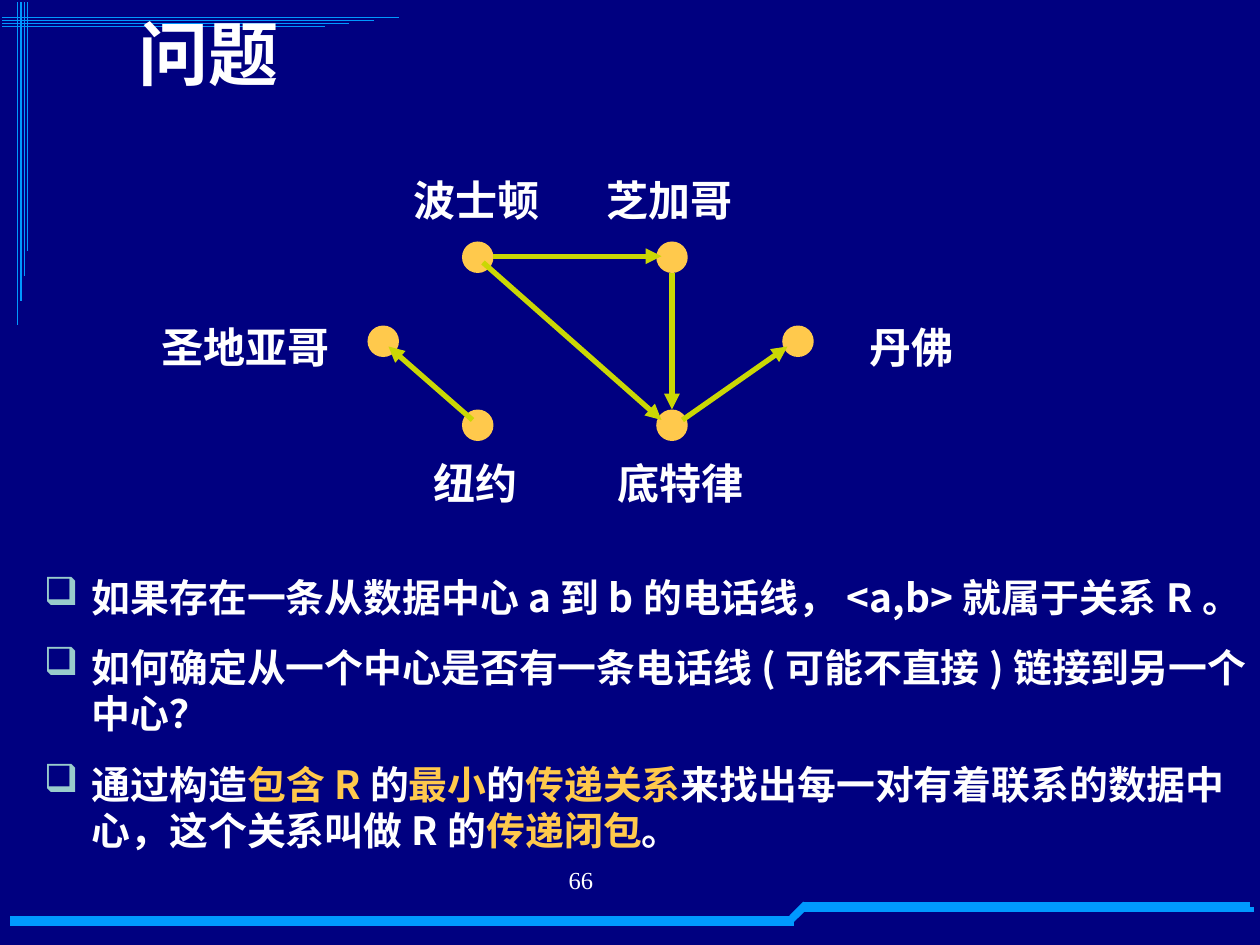
from dataclasses import dataclass

from lxml.etree import SubElement
from pptx import Presentation
from pptx.dml.color import RGBColor as RGB
from pptx.enum.shapes import MSO_CONNECTOR as CONN, MSO_SHAPE as SHAPE
from pptx.enum.text import MSO_ANCHOR as ANCHOR, PP_ALIGN as ALIGN
from pptx.oxml.ns import qn
from pptx.util import Emu, Inches, Pt

COLS, ROWS = 120, 90
NODE = 3


@dataclass(frozen=True)
class Theme:
    background: str = "000080"
    frame: str = "0099FF"
    text: str = "FFFFFF"
    accent: str = "FFC94C"
    arrow: str = "CAD704"
    bullet: str = "99CCCC"
    font: str = "Noto Sans CJK SC"
    number_font: str = "Times New Roman"
    title_size: float = 40
    label_size: float = 24
    body_size: float = 22.2
    number_size: float = 14
    thick: float = 3
    thin: float = 0.75
    spacing: float = 13.5


THEME = Theme()

CITIES = [
    ("波士顿", (44, 23), (38.2, 16)),
    ("芝加哥", (62.5, 23), (56.6, 16)),
    ("丹佛", (74.5, 31), (81.6, 30)),
    ("底特律", (62.5, 39), (57.6, 43)),
    ("圣地亚哥", (35, 31), (14.2, 30)),
    ("纽约", (44, 39), (40.1, 43)),
]

PHONE_LINES = [
    ((47, 24.4), (63, 24.4)),
    ((46, 25), (63, 40)),
    ((64, 26), (64, 39)),
    ((65, 40), (75, 33)),
    ((45, 40), (37, 33)),
]

BODY = [
    [("如果存在一条从数据中心a到b的电话线，<a,b>就属于关系R。", False)],
    [("如何确定从一个中心是否有一条电话线(可能不直接)链接到另一个中心？", False)],
    [
        ("通过构造", False),
        ("包含R", True),
        ("的", False),
        ("最小", True),
        ("的", False),
        ("传递关系", True),
        ("来找出每一对有着联系的数据中心，这个关系叫做R的", False),
        ("传递闭包", True),
        ("。", False),
    ],
]


def cells(prs, *values):
    units = (prs.slide_width / COLS, prs.slide_height / ROWS)
    return [Emu(round(v * units[i % 2])) for i, v in enumerate(values)]


def format_run(r, size, color=THEME.text, font=THEME.font, bold=True):
    r.font.size = Pt(size)
    r.font.bold = bold
    r.font.name = font
    r.font.color.rgb = RGB.from_string(color)
    SubElement(r.font._element, qn("a:ea"), typeface=font)


def add_line(prs, s, start, end, color, width, arrow=False):
    line = s.shapes.add_connector(CONN.STRAIGHT, *cells(prs, *start, *end))
    line.line.color.rgb = RGB.from_string(color)
    line.line.width = Pt(width)
    if arrow:
        SubElement(line.line._get_or_add_ln(), qn("a:tailEnd"), type="triangle")
    SubElement(line._element.spPr, qn("a:effectLst"))


def add_box(prs, s, box, wrap=True):
    tf = s.shapes.add_textbox(*cells(prs, *box)).text_frame
    tf.word_wrap = wrap
    return tf


def add_text(prs, s, box, text, size, wrap=True, **style):
    tf = add_box(prs, s, box, wrap)
    tf.text = text
    format_run(tf.paragraphs[0].runs[0], size, **style)
    return tf


def add_bullet(p):
    pPr = p._p.get_or_add_pPr()
    indent = Inches(0.38)
    pPr.set("marL", str(indent))
    pPr.set("indent", str(-indent))
    color = SubElement(pPr, qn("a:buClr"))
    SubElement(color, qn("a:srgbClr"), val=THEME.bullet)
    SubElement(pPr, qn("a:buChar"), char="❑")


def add_body(prs, s, box):
    tf = add_box(prs, s, box)
    for i, parts in enumerate(BODY):
        p = tf.add_paragraph() if i else tf.paragraphs[0]
        p.space_before = Pt(THEME.spacing)
        add_bullet(p)
        for text, accented in parts:
            r = p.add_run()
            r.text = text
            format_run(r, THEME.body_size, THEME.accent if accented else THEME.text)


def add_city(prs, s, name, node, label):
    add_text(prs, s, (*label, 2.4 + 4 * len(name), 6), name, THEME.label_size, wrap=False)
    sp = s.shapes.add_shape(SHAPE.OVAL, *cells(prs, *node, NODE, NODE))
    sp.fill.solid()
    sp.fill.fore_color.rgb = RGB.from_string(THEME.accent)
    sp.line.fill.background()
    sp.shadow.inherit = False


def add_frame(prs, s):
    for i in range(4):
        across, down, cut = 1.68 + 0.28 * i, 1.68 + 0.32 * i, 2.36 * i
        add_line(prs, s, (0.24, across), (38 - cut, across), THEME.frame, THEME.thin)
        add_line(prs, s, (down, 0.24), (down, 31 - cut), THEME.frame, THEME.thin)
    for i in range(2):
        dy = 0.48 * i
        band = [
            ((0.96, 87.5 + dy), (75.6, 87.5 + dy)),
            ((75.36 - 0.12 * i, 87.36 + dy), (76.68 - 0.12 * i, 86.04 + dy)),
            ((76.44, 86.16 + dy), (119.04 + 0.36 * i, 86.16 + dy)),
        ]
        for start, end in band:
            add_line(prs, s, start, end, THEME.frame, THEME.thick)


def add_page_number(prs, s):
    tf = add_text(prs, s, (37.3, 81.8, 28, 6.2), "66", THEME.number_size,
                  font=THEME.number_font, bold=False)
    tf.margin_left = Inches(0.77)
    tf.paragraphs[0].alignment = ALIGN.CENTER


def main():
    prs = Presentation()
    prs.slide_width, prs.slide_height = Inches(10), Inches(7.5)
    s = prs.slides.add_slide(prs.slide_layouts[6])
    s.background.fill.solid()
    s.background.fill.fore_color.rgb = RGB.from_string(THEME.background)

    add_frame(prs, s)
    add_page_number(prs, s)
    title = add_text(prs, s, (12, 0, 108, 10), "问题", THEME.title_size)
    title.vertical_anchor = ANCHOR.MIDDLE
    add_body(prs, s, (3, 54, 117, 32))
    for city in CITIES:
        add_city(prs, s, *city)
    for start, end in PHONE_LINES:
        add_line(prs, s, start, end, THEME.arrow, THEME.thick, arrow=True)
    prs.save("out.pptx")


if __name__ == "__main__":
    main()
